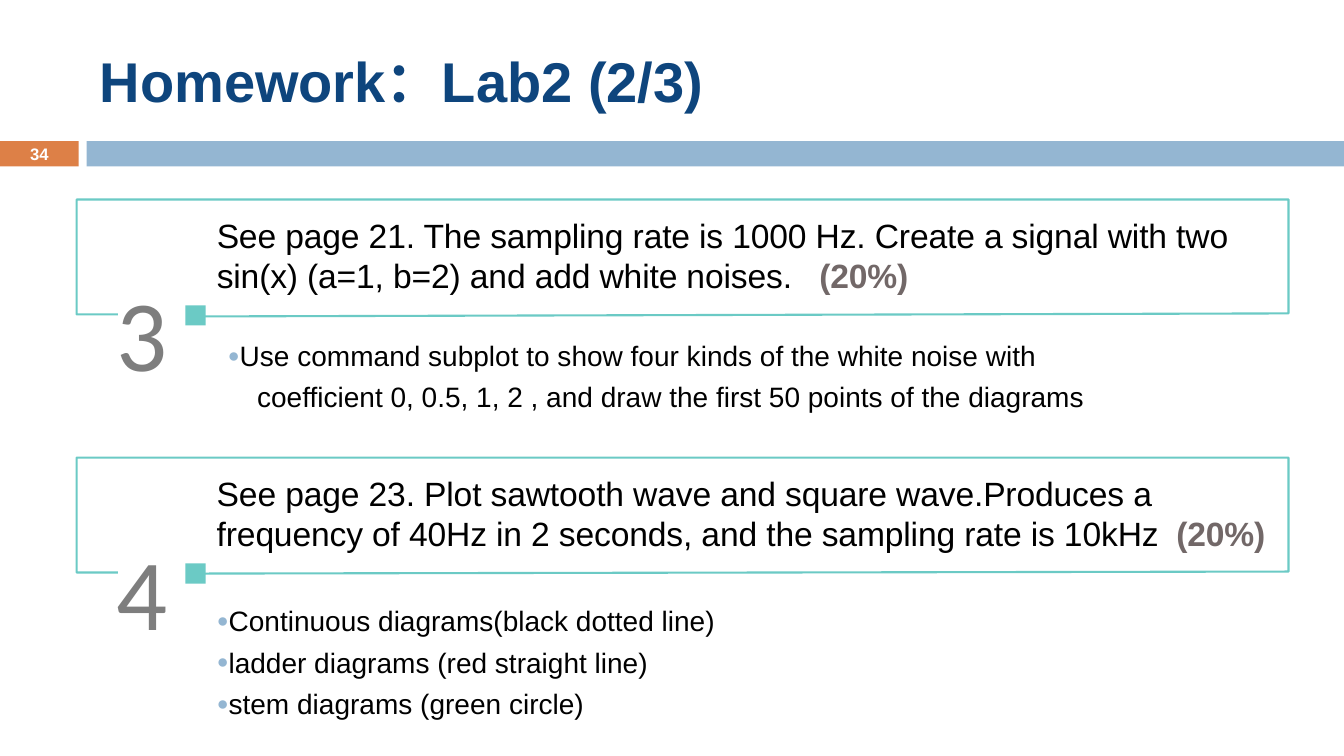
from lxml import etree
from pptx import Presentation
from pptx.dml.color import RGBColor
from pptx.enum.shapes import MSO_SHAPE
from pptx.enum.text import MSO_ANCHOR, PP_ALIGN
from pptx.oxml.ns import qn
from pptx.util import Inches, Pt

RECT = MSO_SHAPE.RECTANGLE
MIDDLE = MSO_ANCHOR.MIDDLE
LEFT, CENTER = PP_ALIGN.LEFT, PP_ALIGN.CENTER

NAVY = RGBColor(0x0E, 0x45, 0x7D)
ORANGE = RGBColor(0xDD, 0x80, 0x47)
BLUE = RGBColor(0x94, 0xB6, 0xD2)
TEAL = RGBColor(0x6B, 0xCA, 0xC5)
GRAY = RGBColor(0x7E, 0x7E, 0x7E)
BROWN = RGBColor(0x72, 0x68, 0x68)
BLACK = RGBColor(0, 0, 0)
WHITE = RGBColor(0xFF, 0xFF, 0xFF)

TITLE = "Homework：Lab2 (2/3)"
PAGE = "34"
# Each note is (text, has a bullet)
TASKS = [
    {
        "num": "3", "top": 1.98, "end": (1.95, 3.14), "wide": 10.42,
        "text": "See page 21. The sampling rate is 1000 Hz. Create a signal "
                "with two sin(x) (a=1, b=2) and add white noises.   ",
        "score": "(20%)",
        "at": (2.26, 3.36, 9.45, 0.76),
        "notes": [
            ("Use command subplot to show four kinds of the white noise with",
             True),
            ("coefficient 0, 0.5, 1, 2 , and draw the first 50 points of the "
             "diagrams", False),
        ],
    },
    {
        "num": "4", "top": 4.54, "end": (1.99, 5.69), "wide": 10.63,
        "text": "See page 23. Plot sawtooth wave\u00a0and square wave.Produces a "
                "frequency of 40Hz in 2 seconds, and the sampling rate is "
                "10kHz  ",
        "score": "(20%)",
        "at": (2.15, 5.99, 9.45, 1.18),
        "notes": [
            ("Continuous diagrams(black dotted line)", True),
            ("ladder diagrams (red straight line)", True),
            ("stem diagrams (green circle)", True),
        ],
    },
]

prs = Presentation()
prs.slide_width, prs.slide_height = Inches(13.33), Inches(7.5)
slide = prs.slides.add_slide(prs.slide_layouts[5])
shapes = slide.shapes


def place(shape, at):
    shape.left, shape.top, shape.width, shape.height = map(Inches, at)


def add_bar(at, color):
    bar = shapes.add_shape(RECT, *map(Inches, at))
    bar.shadow.inherit = False
    bar.fill.solid()
    bar.fill.fore_color.rgb = color
    bar.line.fill.background()


def add_box(at):
    frame = shapes.add_textbox(*map(Inches, at)).text_frame
    frame.word_wrap = True
    frame.margin_left = frame.margin_right = 0
    frame.margin_top = frame.margin_bottom = 0
    return frame


def add_run(para, text, size, color, bold=False, font="Arial", gap=0):
    """Add a run; gap is letter spacing in hundredths of a point."""
    run = para.add_run()
    run.text = text
    run.font.name, run.font.size, run.font.bold = font, Pt(size), bold
    run.font.color.rgb = color
    if gap:
        run._r.get_or_add_rPr().set("spc", str(gap))


def indent(para, left, bullet):
    props = para._p.get_or_add_pPr()
    props.set("marL", str(Inches(left)))
    props.set("indent", str(Inches(-0.3 if bullet else 0)))
    if bullet:
        tint = etree.SubElement(props, qn("a:buClr"))
        etree.SubElement(tint, qn("a:srgbClr")).set("val", str(BLUE))
        etree.SubElement(props, qn("a:buSzPct")).set("val", "70000")
        etree.SubElement(props, qn("a:buFont")).set("typeface", "Arial")
        etree.SubElement(props, qn("a:buChar")).set("char", "●")


def add_frame(top, end):
    """Draw the open outline that leaves room for the task number."""
    low = top + 1.14
    pts = [(0.76, low), (0.76, top), (12.78, top), (12.78, low - 0.01), end]
    pen = shapes.build_freeform(Inches(1.17), Inches(low))
    pen.add_line_segments([(Inches(x), Inches(y)) for x, y in pts], close=False)
    line = pen.convert_to_shape()
    line.shadow.inherit = False
    line.fill.background()
    line.line.color.rgb = TEAL
    line.line.width = Pt(1.5)


def add_task(task):
    top = task["top"]
    add_frame(top, task["end"])
    add_bar((1.84, top + 1.05, 0.2, 0.2), TEAL)

    para = add_box((1.16, top + 0.71, 0.53, 1.21)).paragraphs[0]
    add_run(para, task["num"], 72, GRAY, font="Calibri", gap=-40)

    para = add_box((2.15, top + 0.15, task["wide"], 0.81)).paragraphs[0]
    add_run(para, task["text"], 24, BLACK, gap=-10)
    add_run(para, task["score"], 24, BROWN, bold=True, gap=-10)

    frame = add_box(task["at"])
    for i, (text, bullet) in enumerate(task["notes"]):
        para = frame.add_paragraph() if i else frame.paragraphs[0]
        indent(para, 0 if bullet else 0.29, bullet)
        para.level = 1
        if i:
            para.space_before = Pt(5.5)
        add_run(para, text, 20, BLACK)


add_bar((0, 1.4, 0.78, 0.25), ORANGE)
add_bar((0.86, 1.4, 12.47, 0.25), BLUE)

title = shapes.title
place(title, (0.89, 0.25, 11.89, 1.08))
title.text_frame.vertical_anchor = MIDDLE
head = title.text_frame.paragraphs[0]
head.alignment = LEFT
add_run(head, TITLE, 40, NAVY, bold=True)

page = add_box((0, 1.39, 0.78, 0.27))
page.vertical_anchor = MIDDLE
page.paragraphs[0].alignment = CENTER
add_run(page.paragraphs[0], PAGE, 11.9, WHITE, bold=True)

for task in TASKS:
    add_task(task)

prs.save("out.pptx")
